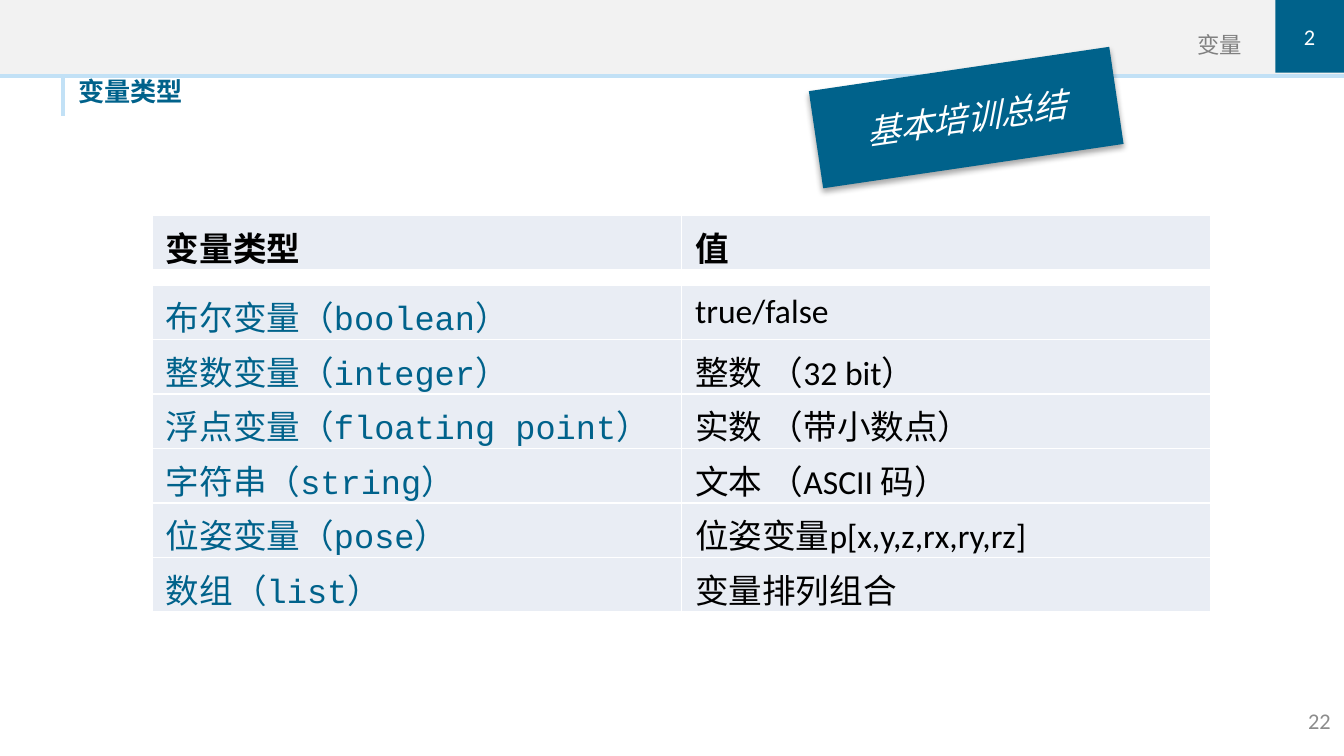
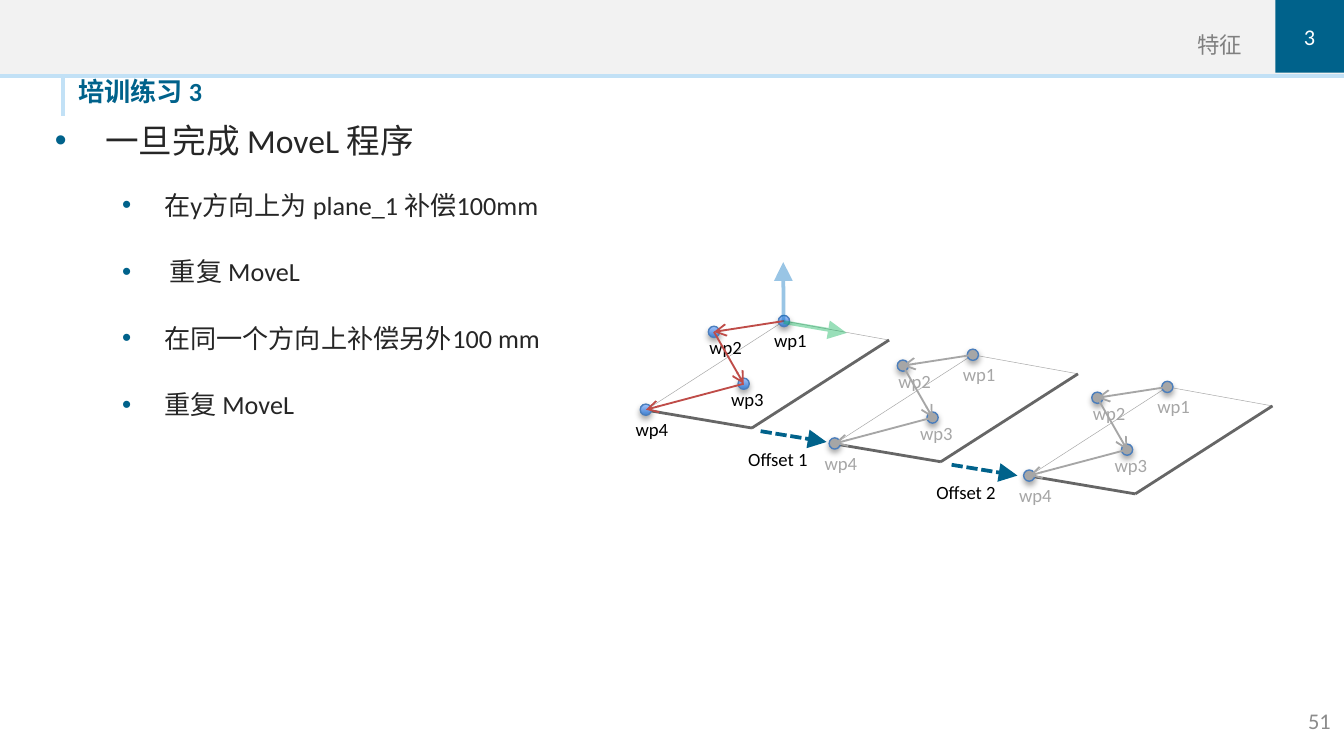
from dataclasses import dataclass
from itertools import pairwise

from pptx import Presentation
from pptx.dml.color import RGBColor
from pptx.enum.dml import MSO_LINE as Dash
from pptx.enum.shapes import MSO_CONNECTOR as Conn, MSO_SHAPE as Kind
from pptx.enum.text import MSO_ANCHOR as Anchor, PP_ALIGN as Align
from pptx.oxml.ns import qn
from pptx.oxml.xmlchemy import OxmlElement as make
from pptx.util import Pt

BLUE, PALE, BAND, CELL = "00628B", "C2E1F6", "F2F2F2", "E9EDF4"
WHITE, BLACK, INK, GREY = "FFFFFF", "000000", "262626", "A6A6A6"
RED, RIM, EDGE = "BF4C48", "4B7EBC", "666666"
SANS, MONO = "Calibri", "Courier New"

Spot = tuple[float, float]


@dataclass(frozen=True)
class Box:
    left: float
    top: float
    wide: float
    high: float

    def pts(self) -> list:
        return [Pt(v) for v in (self.left, self.top, self.wide, self.high)]


@dataclass(frozen=True)
class Type:
    size: float
    hue: str = BLACK
    face: str = SANS
    bold: bool = False
    slant: bool = False


@dataclass(frozen=True)
class Pen:
    hue: str
    width: float
    head: str = ""
    large: bool = False
    dash: bool = False
    alpha: int = 100


@dataclass(frozen=True)
class Head:
    topic: str
    tab: str
    title: str
    page: str


@dataclass(frozen=True)
class Point:
    name: str
    dot: Spot
    label: Spot


@dataclass(frozen=True)
class Plane:
    shift: Spot
    ink: str
    trail: str
    live: bool = False


@dataclass(frozen=True)
class Item:
    text: str
    size: float
    left: float
    hang: float
    gap: float


def tint(hue: str) -> RGBColor:
    return RGBColor.from_string(hue)


def node(root, tag: str, **attrs):
    child = make(tag)
    for key, val in attrs.items():
        child.set(key, str(val))
    root.append(child)
    return child


def write(para, text: str, style: Type) -> None:
    run = para.add_run()
    run.text = text
    font = run.font
    font.name, font.size = style.face, Pt(style.size)
    font.bold, font.italic = style.bold, style.slant
    font.color.rgb = tint(style.hue)


def setup(frame, anchor=Anchor.TOP, inset: tuple | None = None) -> None:
    frame.word_wrap = True
    frame.vertical_anchor = anchor
    if inset:
        (frame.margin_left, frame.margin_top,
         frame.margin_right, frame.margin_bottom) = [Pt(v) for v in inset]


def label(slide, box: Box, text: str, style: Type, align=Align.LEFT,
          anchor=Anchor.TOP, inset: tuple | None = None):
    frame = slide.shapes.add_textbox(*box.pts()).text_frame
    setup(frame, anchor, inset)
    para = frame.paragraphs[0]
    para.alignment = align
    write(para, text, style)
    return para


def block(slide, box: Box, fill: str, kind=Kind.RECTANGLE):
    shape = slide.shapes.add_shape(kind, *box.pts())
    shape.shadow.inherit = False
    shape.fill.solid()
    shape.fill.fore_color.rgb = tint(fill)
    shape.line.fill.background()
    return shape


def inner(shape, text: str, style: Type) -> None:
    setup(shape.text_frame, Anchor.MIDDLE, (0, 0, 0, 0))
    para = shape.text_frame.paragraphs[0]
    para.alignment = Align.CENTER
    write(para, text, style)


def shade(shape) -> None:
    effect = shape._element.spPr.find(qn("a:effectLst"))
    drop = node(effect, "a:outerShdw", blurRad=40000, dist=23000,
                dir=5400000, rotWithShape=0)
    node(node(drop, "a:srgbClr", val=BLACK), "a:alpha", val=35000)


def stroke(slide, start: Spot, end: Spot, pen: Pen) -> None:
    line = slide.shapes.add_connector(
        Conn.STRAIGHT, *[Pt(v) for v in (*start, *end)])
    line.line.color.rgb = tint(pen.hue)
    line.line.width = Pt(pen.width)
    if pen.dash:
        line.line.dash_style = Dash.SQUARE_DOT
    props = line._element.spPr
    if pen.alpha < 100:
        node(next(props.iter(qn("a:srgbClr"))), "a:alpha",
             val=pen.alpha * 1000)
    if pen.head:
        size = "lg" if pen.large else "med"
        node(props.find(qn("a:ln")), "a:tailEnd", type=pen.head,
             w=size, len=size)
    node(props, "a:effectLst")


def base(deck, head: Head):
    slide = deck.slides.add_slide(deck.slide_layouts[6])
    block(slide, Box(0, 0, 720, 41.8), PALE)
    block(slide, Box(0, 0, 720, 39.6), BAND)
    stroke(slide, (33.8, 41.8), (33.8, 61.9), Pen(PALE, 2.5))
    label(slide, Box(648, 375.1, 72, 21.6), head.page, Type(12, "8C8C8C"),
          Align.RIGHT, Anchor.MIDDLE)
    label(slide, Box(360, 0, 305.3, 31), head.topic, Type(12, "808080"),
          Align.RIGHT, Anchor.BOTTOM, (0, 0, 0, 0))
    inner(block(slide, Box(683.2, 0, 36.8, 39), BLUE), head.tab,
          Type(12, WHITE))
    para = label(slide, Box(41.8, 42.5, 317.5, 20.2), head.title,
                 Type(14, BLUE, bold=True), inset=(0, 0, 0, 2.9))
    para.line_spacing = 0.9
    return slide


def grid(slide, top: float, rows: list, styles: tuple) -> None:
    high = 29.2
    box = Box(81.7, top, 567, high * len(rows))
    table = slide.shapes.add_table(len(rows), 2, *box.pts()).table
    table.first_row = table.horz_banding = False
    for row, texts in zip(table.rows, rows):
        row.height = Pt(high)
        for cell, text, style in zip(row.cells, texts, styles):
            props = cell._tc.get_or_add_tcPr()
            for side in "LRTB":
                edge = node(props, f"a:ln{side}", w=12700)
                node(node(edge, "a:solidFill"), "a:srgbClr", val=WHITE)
            cell.fill.solid()
            cell.fill.fore_color.rgb = tint(CELL)
            write(cell.text_frame.paragraphs[0], text, style)


def bullets(slide, box: Box, items: list[Item]) -> None:
    frame = slide.shapes.add_textbox(*box.pts()).text_frame
    setup(frame, inset=(7.2, 24.5, 7.2, 3.6))
    for num, item in enumerate(items):
        para = frame.add_paragraph() if num else frame.paragraphs[0]
        if num:
            para.space_before = Pt(item.gap)
            para.level = 1
        props = para._p.get_or_add_pPr()
        props.set("marL", str(Pt(item.left)))
        props.set("indent", str(Pt(-item.hang)))
        node(node(props, "a:buClr"), "a:srgbClr", val=BLUE)
        node(props, "a:buFont", typeface="Arial")
        node(props, "a:buChar", char="•")
        write(para, item.text, Type(item.size, INK))


HOME = (420, 172)
CORNERS = [(0, 0), (56.3, 10.2), (-17.2, 57.3), (-74, 47.7)]
POINTS = [
    Point("wp1", (0, 0), (-12.4, 0.8)),
    Point("wp2", (-37.5, 5.8), (-47, 4.4)),
    Point("wp3", (-21.6, 33.6), (-35.4, 32.5)),
    Point("wp4", (-74, 47.5), (-86.5, 48.3)),
]
PLANES = [
    Plane((0, 0), BLACK, RED, True),
    Plane((101.2, 18.1), GREY, GREY),
    Plane((205.4, 35.3), GREY, GREY),
]


def dot(slide, spot: Spot, live: bool) -> None:
    size = 6
    box = Box(spot[0] - size / 2, spot[1] - size / 2, size, size)
    shape = block(slide, box, GREY, Kind.OVAL)
    if live:
        shape.fill.gradient()
        shape.fill.gradient_angle = 90
        for stop, hue in zip(shape.fill.gradient_stops, ("3F80CE", "A4C4FF")):
            stop.color.rgb = tint(hue)
    shape.line.color.rgb = tint(RIM)
    shape.line.width = Pt(0.75)
    shade(shape)


def draw(slide, plane: Plane) -> None:
    def put(spot: Spot) -> Spot:
        return tuple(h + s + v for h, s, v in zip(HOME, plane.shift, spot))

    spots = [put(c) for c in CORNERS]
    first, *rest = [(Pt(x), Pt(y)) for x, y in spots]
    form = slide.shapes.build_freeform(*first)
    form.add_line_segments(rest, close=True)
    sheet = form.convert_to_shape()
    sheet.shadow.inherit = False
    sheet.fill.solid()
    sheet.fill.fore_color.rgb = tint(WHITE)
    sheet.line.color.rgb = tint(GREY)
    sheet.line.width = Pt(0.25)
    for start, end in pairwise(spots[1:]):
        stroke(slide, start, end, Pen(EDGE, 1.5))
    for point in POINTS:
        dot(slide, put(point.dot), plane.live)
        label(slide, Box(*put(point.label), 38.9, 19.4), point.name,
              Type(10, plane.ink))
    for start, end in pairwise(POINTS):
        stroke(slide, put(start.dot), put(end.dot),
               Pen(plane.trail, 1, "arrow"))


def types(deck) -> None:
    slide = base(deck, Head("变量", "2", "变量类型", "22"))
    tag = block(slide, Box(436.3, 36.7, 162.7, 52.6), BLUE)
    tag.rotation = 351.6
    shade(tag)
    inner(tag, "基本培训总结", Type(18, WHITE, slant=True))
    rows = [
        ("布尔变量（boolean）", "true/false"),
        ("整数变量（integer）", "整数 （32 bit）"),
        ("浮点变量（floating point）", "实数 （带小数点）"),
        ("字符串（string）", "文本 （ASCII 码）"),
        ("位姿变量（pose）", "位姿变量p[x,y,z,rx,ry,rz]"),
        ("数组（list）", "变量排列组合"),
    ]
    grid(slide, 152.6, rows, (Type(18, BLUE, MONO), Type(18)))
    grid(slide, 115.5, [("变量类型", "值")], (Type(18, bold=True),) * 2)


def drill(deck) -> None:
    slide = base(deck, Head("特征", "3", "培训练习 3", "51"))
    steps = ["在y方向上为 plane_1 补偿100mm", " 重复 MoveL",
             "在同一个方向上补偿另外100 mm", "重复 MoveL"]
    items = [Item("一旦完成 MoveL 程序", 18, 27, 27, 0)]
    items += [Item(step, 14, 58.5, 22.5, 18.9 if num else 15.6)
              for num, step in enumerate(steps)]
    bullets(slide, Box(22.3, 39.6, 627, 360), items)
    for plane in PLANES:
        draw(slide, plane)
    move = Pen(BLUE, 2, "triangle", True, True)
    for name, left, top, start in (
            ("Offset 1", 393.8, 236.2, (407.5, 231)),
            ("Offset 2", 494.6, 254.2, (509.8, 249))):
        label(slide, Box(left, top, 48.2, 19.4), name, Type(10))
        stroke(slide, start, (start[0] + 35.3, start[1] + 5.8), move)
    for end, hue in (((453.6, 178.4), "00B050"), ((419.6, 140.4), "0070C0")):
        stroke(slide, (419.8, 172.6), end,
               Pen(hue, 2, "triangle", True, alpha=40))


def main() -> None:
    deck = Presentation()
    deck.slide_width, deck.slide_height = Pt(720), Pt(405)
    types(deck)
    drill(deck)
    deck.save("out.pptx")


if __name__ == "__main__":
    main()
